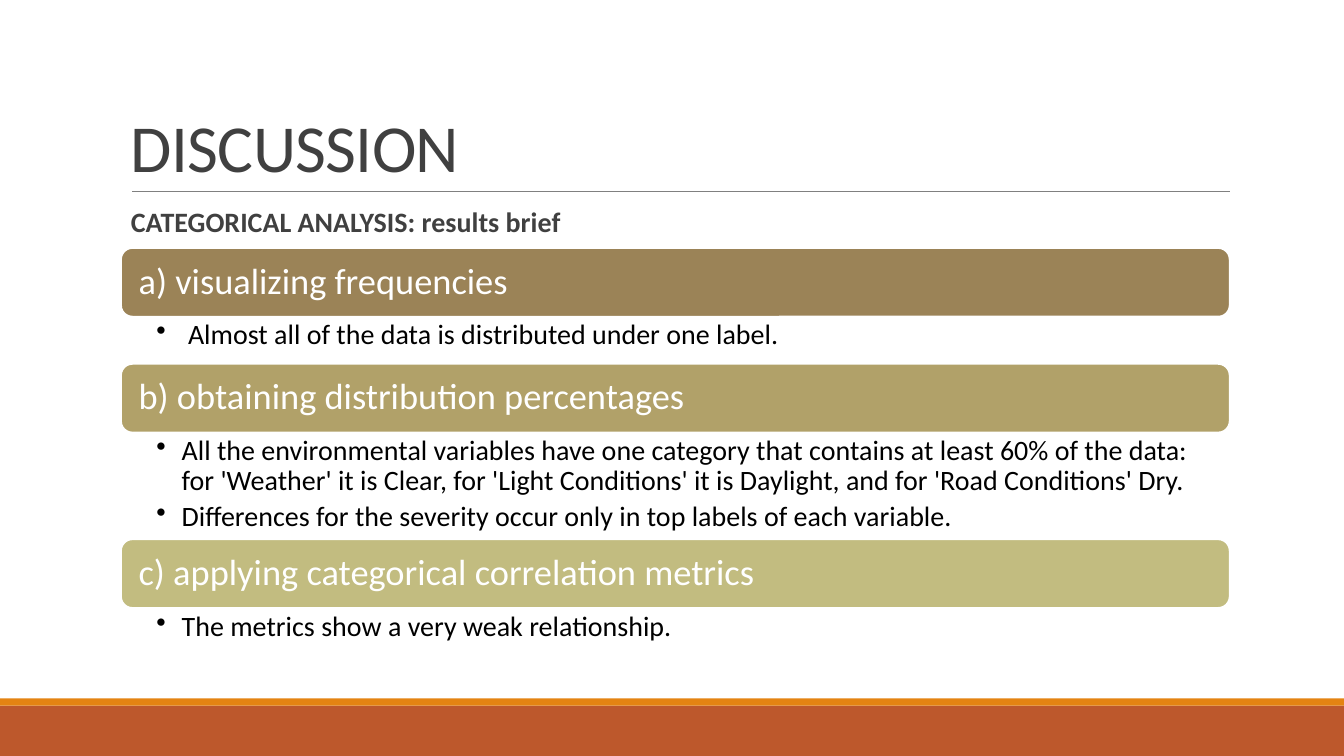
from dataclasses import dataclass

import pptx
import pptx.dml.color
import pptx.enum.shapes
import pptx.enum.text
import pptx.oxml
import pptx.oxml.ns
import pptx.util

Cm = pptx.util.Cm
Pt = pptx.util.Pt
Anchor = pptx.enum.text.MSO_ANCHOR
Preset = pptx.enum.shapes.MSO_SHAPE


@dataclass(frozen=True)
class Theme:
    font: str = "Calibri"
    heading: str = "404040"
    detail: str = "000000"
    white: str = "FFFFFF"
    rule: str = "808080"
    footer: str = "BD582C"
    footer_edge: str = "E48312"
    title_size: int = 48
    band_size: int = 26
    text_size: int = 20


THEME = Theme()
LEFT, WIDTH = Cm(3.05), Cm(27.94)
BAND_HEIGHT = Cm(1.73)

# Heading, band colour, height of the details in cm, details
SECTIONS = [
    ("a) visualizing frequencies", "9B8357", 1.19,
     [" Almost all of the data is distributed under one label."]),
    ("b) obtaining distribution percentages", "B1A169", 2.69,
     ["All the environmental variables have one category that contains at least "
      "60% of the data: for 'Weather' it is Clear, for 'Light Conditions' it is "
      "Daylight, and for 'Road Conditions' Dry.",
      "Differences for the severity occur only in top labels of each variable."]),
    ("c) applying categorical correlation metrics", "C2BC80", 1.19,
     ["The metrics show a very weak relationship."]),
]


def rgb(colour):
    return pptx.dml.color.RGBColor.from_string(colour)


def add_bullet(paragraph, indent):
    properties = paragraph._p.get_or_add_pPr()
    properties.set("marL", str(indent))
    properties.set("indent", str(-indent))
    bullet = pptx.oxml.parse_xml(
        f'<a:buChar {pptx.oxml.ns.nsdecls("a")} char="•"/>')
    properties.append(bullet)


def write(shape, lines, *, size, colour, bold=False, anchor=Anchor.TOP,
          insets=(0.25, 0.13, 0.25, 0.13), line_spacing=0.9, space_after=0,
          tracking=None, bullet_indent=None):
    """Fill a shape with paragraphs; insets are left, top, right, bottom in cm."""
    frame = shape.text_frame
    frame.word_wrap = True
    frame.auto_size = pptx.enum.text.MSO_AUTO_SIZE.NONE
    frame.vertical_anchor = anchor
    (frame.margin_left, frame.margin_top,
     frame.margin_right, frame.margin_bottom) = map(Cm, insets)
    for index, line in enumerate(lines):
        paragraph = frame.paragraphs[0] if index == 0 else frame.add_paragraph()
        paragraph.alignment = pptx.enum.text.PP_ALIGN.LEFT
        paragraph.line_spacing = line_spacing
        paragraph.space_after = Pt(space_after)
        if bullet_indent is not None:
            add_bullet(paragraph, bullet_indent)
        run = paragraph.add_run()
        run.text = line
        run.font.name = THEME.font
        run.font.size = Pt(size)
        run.font.bold = bold
        run.font.color.rgb = rgb(colour)
        if tracking is not None:
            run._r.get_or_add_rPr().set("spc", str(round(tracking * 100)))


def add_block(slide, preset, left, top, width, height, fill, outline=None):
    block = slide.shapes.add_shape(preset, left, top, width, height)
    block.shadow.inherit = False
    block.fill.solid()
    block.fill.fore_color.rgb = rgb(fill)
    if outline:
        block.line.color.rgb = rgb(outline)
        block.line.width = Pt(1.25)
    else:
        block.line.fill.background()
    return block


def add_title(slide, text):
    title = slide.shapes.title
    title.left, title.top, title.width, title.height = LEFT, Cm(0.79), WIDTH, Cm(4.04)
    write(title, [text], size=THEME.title_size, colour=THEME.heading,
          anchor=Anchor.BOTTOM, line_spacing=0.85, tracking=-0.5)


def add_rule(slide, left, right, y):
    rule = slide.shapes.add_connector(
        pptx.enum.shapes.MSO_CONNECTOR.STRAIGHT, left, y, right, y)
    rule.line.color.rgb = rgb(THEME.rule)
    rule.line.width = Pt(0.5)
    rule._element.spPr.append(
        pptx.oxml.parse_xml(f'<a:effectLst {pptx.oxml.ns.nsdecls("a")}/>'))


def add_section(slide, top, heading, colour, details_height, details):
    """Draw a band with its bullets below and return the bottom edge."""
    band = add_block(slide, Preset.ROUNDED_RECTANGLE, LEFT, top, WIDTH,
                     BAND_HEIGHT, colour, THEME.white)
    write(band, [heading], size=THEME.band_size, colour=THEME.white,
          anchor=Anchor.MIDDLE, insets=(0.36, 0.3, 0.36, 0.3))
    details_top = top + BAND_HEIGHT
    box = slide.shapes.add_textbox(LEFT, details_top, WIDTH, details_height)
    write(box, details, size=THEME.text_size, colour=THEME.detail,
          insets=(0.89, 0.1, 0.51, 0.1), space_after=4, bullet_indent=Cm(0.64))
    return details_top + details_height


def main():
    deck = pptx.Presentation()
    deck.slide_width, deck.slide_height = Cm(33.87), Cm(19.05)
    slide = deck.slides.add_slide(deck.slide_layouts[5])

    footer_top, edge_height = Cm(17.78), Cm(0.18)
    add_block(slide, Preset.RECTANGLE, 0, footer_top, deck.slide_width,
              deck.slide_height - footer_top, THEME.footer)
    add_block(slide, Preset.RECTANGLE, 0, footer_top - edge_height,
              deck.slide_width, edge_height, THEME.footer_edge)
    add_rule(slide, Cm(3.33), Cm(31), Cm(4.83))
    add_title(slide, "DISCUSSION")

    subtitle = slide.shapes.add_textbox(LEFT, Cm(5.13), WIDTH, Cm(1.1))
    write(subtitle, ["CATEGORICAL ANALYSIS: results brief"],
          size=THEME.text_size, colour=THEME.heading, bold=True)

    top = Cm(6.25)
    for heading, colour, details_height, details in SECTIONS:
        top = add_section(slide, top, heading, colour, Cm(details_height), details)

    deck.save("out.pptx")


if __name__ == "__main__":
    main()
